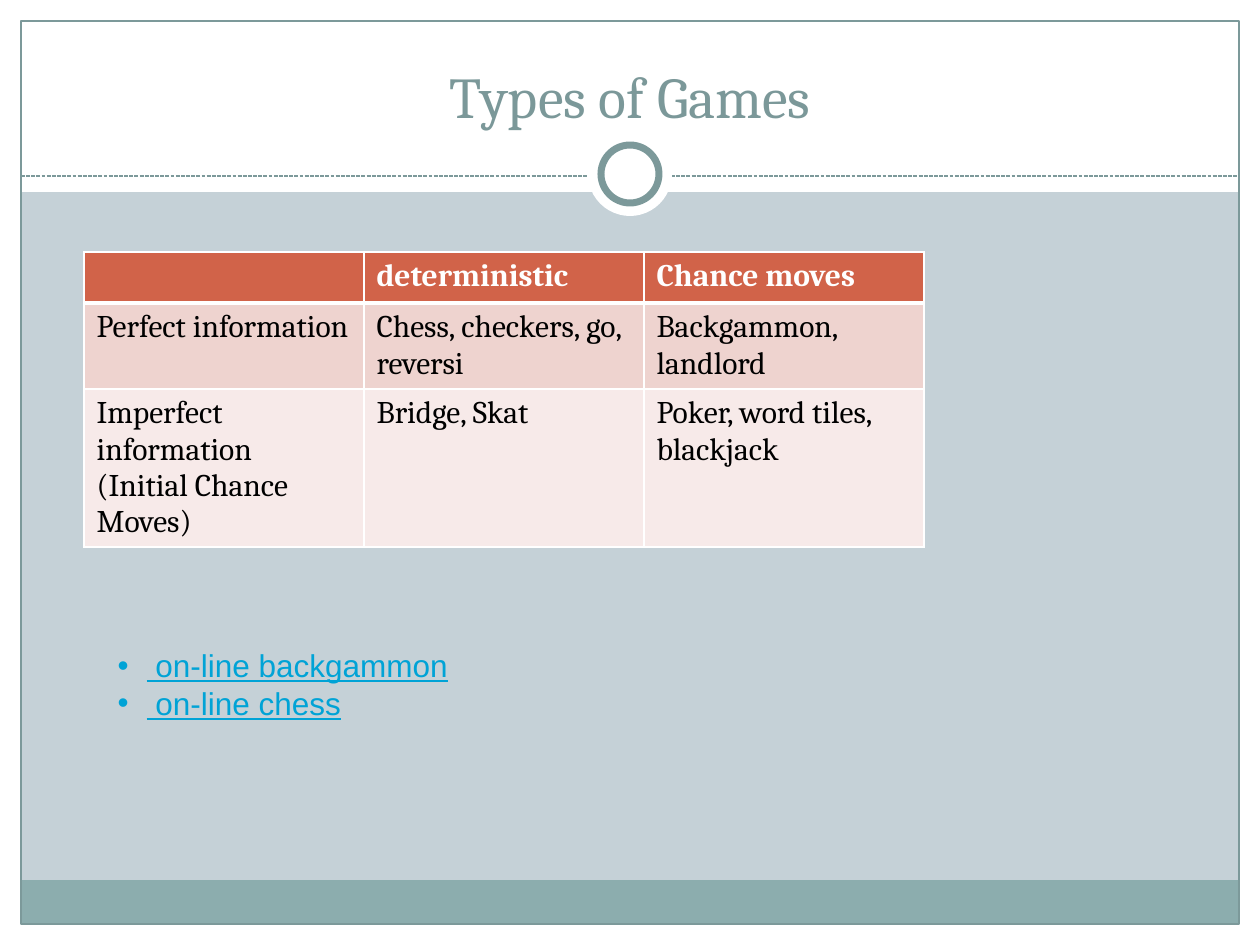
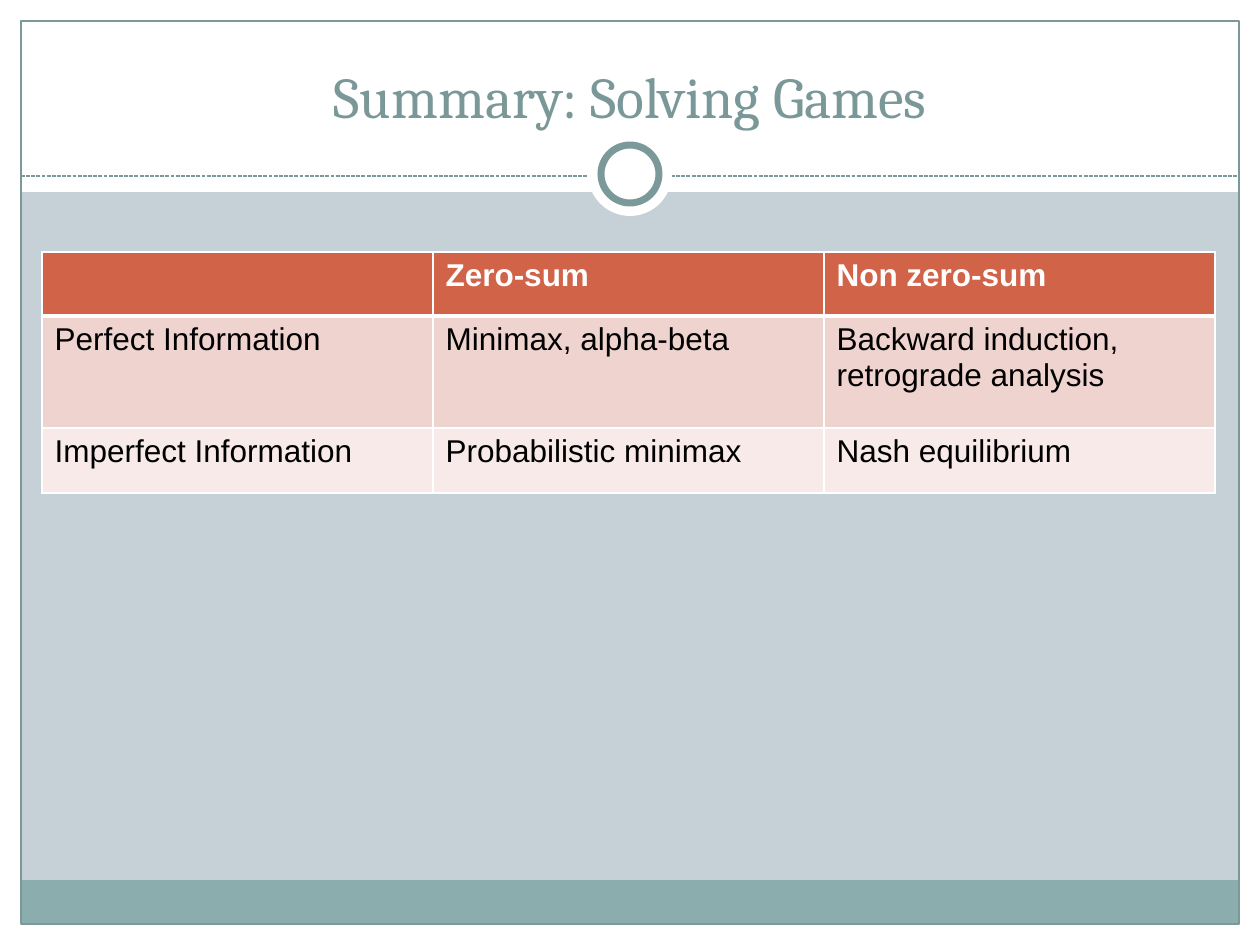
import pptx
import pptx.dml.color
import pptx.enum.dml
import pptx.enum.shapes
import pptx.enum.text
import pptx.oxml
import pptx.oxml.ns
import pptx.util
from dataclasses import dataclass

# Content
PAGES = [
    {
        "title": "Types of Games",
        "font": "Cambria",
        "table_at": (84, 252),
        "column_width": 280,
        "row_heights": [51, 86, 158],
        "rows": [
            ["", "deterministic", "Chance moves"],
            ["Perfect information", "Chess, checkers, go, reversi", "Backgammon, landlord"],
            ["Imperfect information\v(Initial Chance Moves)", "Bridge, Skat",
             "Poker, word tiles, blackjack"],
        ],
        "links": [" on-line backgammon", " on-line chess"],
    },
    {
        "title": "Summary: Solving Games",
        "font": "Arial",
        "table_at": (42, 252),
        "column_width": 391,
        "row_heights": [64, 112, 65],
        "rows": [
            ["", "Zero-sum", "Non zero-sum"],
            ["Perfect Information", "Minimax, alpha-beta",
             "Backward induction, retrograde analysis"],
            ["Imperfect Information", "Probabilistic minimax", "Nash equilibrium"],
        ],
        "links": [],
    },
]


@dataclass(frozen=True)
class Theme:
    background: str = "C5D1D7"
    white: str = "FFFFFF"
    black: str = "000000"
    rule: str = "7C999A"
    footer: str = "8CADAE"
    title: str = "7B9899"
    link: str = "00A3D6"
    row_fills: tuple = ("D16349", "EED3CF", "F7EAE9")
    title_font: str = "Cambria"
    link_font: str = "Arial"
    title_size: int = 33
    text_size: int = 18
    thin: float = 0.75
    ring: int = 4
    cell_line: int = 1
    header_line: int = 3


THEME = Theme()
WIDTH, HEIGHT, MARGIN = 1260, 945, 21
RULE_TOP = 176
TITLE_BOX = (42, 31, 1176, 105)
LINKS_BOX = (105, 640, 955, 90)
SHAPES = pptx.enum.shapes.MSO_SHAPE


# Helpers
def px(length):
    return pptx.util.Emu(round(length * 914400 / 126))


def rgb(colour):
    return pptx.dml.color.RGBColor.from_string(colour)


def style(para, font, size, colour, bold=False, underline=False):
    for span in para.runs:
        span.font.name = font
        span.font.size = pptx.util.Pt(size)
        span.font.color.rgb = rgb(colour)
        span.font.bold = bold
        span.font.underline = underline


def place(shape, box):
    shape.left, shape.top, shape.width, shape.height = map(px, box)


def add_xml(parent, position, xml):
    namespace = pptx.oxml.ns.nsdecls("a")
    parent.insert(position, pptx.oxml.parse_xml(xml.format(ns=namespace)))


# Shared frame, held by the slide master
def add_panel(page, kind, box, fill=None, line_width=None):
    panel = page.shapes.add_shape(kind, *map(px, box))
    panel.shadow.inherit = False
    if fill:
        panel.fill.solid()
        panel.fill.fore_color.rgb = rgb(fill)
    else:
        panel.fill.background()
    if line_width:
        panel.line.color.rgb = rgb(THEME.rule)
        panel.line.width = pptx.util.Pt(line_width)
    else:
        panel.line.fill.background()
    return panel


def add_rule(page):
    rule = page.shapes.add_connector(
        pptx.enum.shapes.MSO_CONNECTOR.STRAIGHT,
        px(MARGIN), px(RULE_TOP), px(WIDTH - MARGIN), px(RULE_TOP))
    rule.line.color.rgb = rgb(THEME.rule)
    rule.line.width = pptx.util.Pt(THEME.thin)
    rule.line.dash_style = pptx.enum.dml.MSO_LINE.SQUARE_DOT
    properties = rule.element.spPr
    add_xml(properties, len(properties), "<a:effectLst {ns}/>")
    return rule


def add_circle(page, diameter, line_width=None):
    left, top = (WIDTH - diameter) / 2, 174 - diameter / 2
    return add_panel(page, SHAPES.OVAL, (left, top, diameter, diameter),
                     THEME.white, line_width)


def build_master(deck, page):
    master = deck.slide_master
    master.background.fill.solid()
    master.background.fill.fore_color.rgb = rgb(THEME.background)
    inner = WIDTH - 2 * MARGIN
    margins = [
        (0, HEIGHT - MARGIN, WIDTH, MARGIN),
        (0, 0, WIDTH, 192),
        (0, 0, MARGIN, HEIGHT),
        (WIDTH - MARGIN, 0, MARGIN, HEIGHT),
    ]
    frame = [add_panel(page, SHAPES.RECTANGLE, box, THEME.white) for box in margins]
    frame += [
        add_panel(page, SHAPES.RECTANGLE, (MARGIN, 880, inner, 44), THEME.footer),
        add_panel(page, SHAPES.RECTANGLE, (MARGIN, MARGIN, inner, HEIGHT - 2 * MARGIN),
                  line_width=THEME.thin),
        add_rule(page),
        add_circle(page, 84),
        add_circle(page, 58, THEME.ring),
    ]
    for order, part in enumerate(frame):
        part.element.xpath(".//p:cNvPr")[0].set("id", str(20 + order))
        master.shapes.element.insert(2 + order, part.element)


# Slide parts
def fill_title(page, text):
    title = page.shapes.title
    place(title, TITLE_BOX)
    title.text_frame.text = text
    title.text_frame.vertical_anchor = pptx.enum.text.MSO_ANCHOR.BOTTOM
    para = title.text_frame.paragraphs[0]
    para.alignment = pptx.enum.text.PP_ALIGN.CENTER
    style(para, THEME.title_font, THEME.title_size, THEME.title)


def set_borders(cell, row):
    top = THEME.header_line if row == 1 else THEME.cell_line
    bottom = THEME.header_line if row == 0 else THEME.cell_line
    widths = {"L": THEME.cell_line, "R": THEME.cell_line, "T": top, "B": bottom}
    properties = cell._tc.get_or_add_tcPr()
    for order, (side, width) in enumerate(widths.items()):
        add_xml(properties, order,
                f'<a:ln{side} {{ns}} w="{pptx.util.Pt(width)}"><a:solidFill>'
                f'<a:srgbClr val="{THEME.white}"/></a:solidFill></a:ln{side}>')


def add_games_table(page, content):
    rows, heights = content["rows"], content["row_heights"]
    columns = len(rows[0])
    box = (*content["table_at"], columns * content["column_width"], sum(heights))
    table = page.shapes.add_table(len(rows), columns, *map(px, box)).table
    for column in table.columns:
        column.width = px(content["column_width"])
    for row, texts in enumerate(rows):
        table.rows[row].height = px(heights[row])
        for column, text in enumerate(texts):
            cell = table.cell(row, column)
            cell.fill.solid()
            cell.fill.fore_color.rgb = rgb(THEME.row_fills[row])
            set_borders(cell, row)
            cell.text_frame.text = text
            header = row == 0
            style(cell.text_frame.paragraphs[0], content["font"], THEME.text_size,
                  THEME.white if header else THEME.black, bold=header)


def fill_links(page, links):
    body = page.placeholders[1]
    place(body, LINKS_BOX)
    frame = body.text_frame
    frame.auto_size = pptx.enum.text.MSO_AUTO_SIZE.NONE
    frame.text = "\n".join(links)
    for para in frame.paragraphs:
        para.space_before = pptx.util.Pt(0)
        para.line_spacing = 1.0
        style(para, THEME.link_font, THEME.text_size, THEME.link, underline=True)
        properties = para._p.get_or_add_pPr()
        properties.set("marL", str(px(29)))
        properties.set("indent", str(-px(29)))
        add_xml(properties, len(properties), '<a:buFont {ns} typeface="Arial"/>')
        add_xml(properties, len(properties), '<a:buChar {ns} char="•"/>')


def main():
    deck = pptx.Presentation()
    deck.slide_width, deck.slide_height = px(WIDTH), px(HEIGHT)
    for number, content in enumerate(PAGES):
        layout = "Title and Content" if content["links"] else "Title Only"
        page = deck.slides.add_slide(deck.slide_layouts.get_by_name(layout))
        if number == 0:
            build_master(deck, page)
        fill_title(page, content["title"])
        add_games_table(page, content)
        if content["links"]:
            fill_links(page, content["links"])
    deck.save("out.pptx")


if __name__ == "__main__":
    main()
